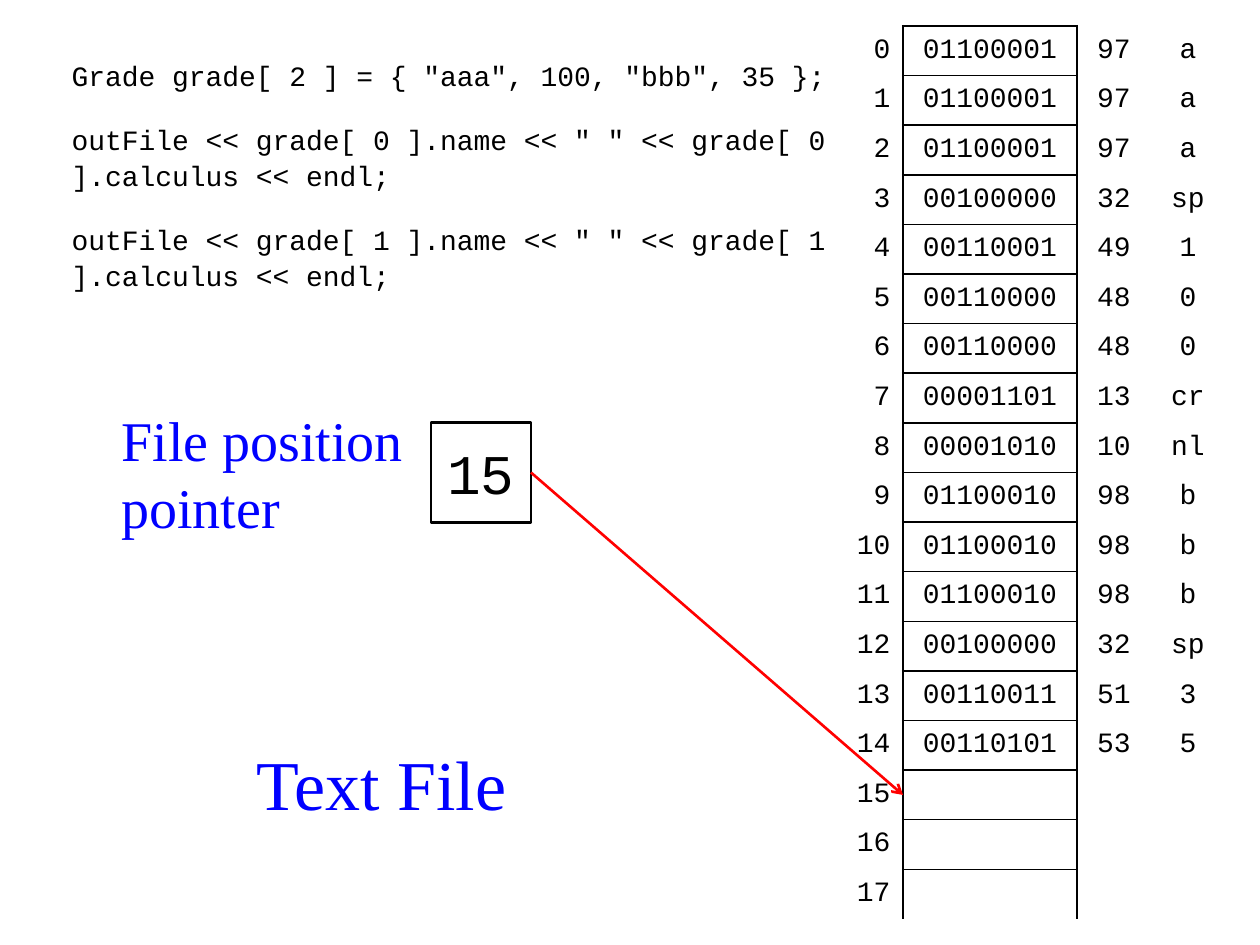
from lxml import etree
from pptx import Presentation
from pptx import util as u
from pptx.dml.color import RGBColor
from pptx.enum import shapes, text
from pptx.oxml.ns import qn

PX = 914400 / 126
COLORS = {"ink": "000000", "accent": "0000FF", "pointer": "FF0000"}
MONO, SERIF = "Courier New", "Times New Roman"
LEFT, CENTER, RIGHT = text.PP_ALIGN.LEFT, text.PP_ALIGN.CENTER, text.PP_ALIGN.RIGHT

ROW_COUNT = 18
COLUMN_WIDTHS = [74, 174, 74, 74]
COLUMN_ALIGNS = [RIGHT, CENTER, CENTER, CENTER]
FILE_BYTES = [97, 97, 97, 32, 49, 48, 48, 13, 10, 98, 98, 98, 32, 51, 53]
CONTROL_NAMES = {32: "sp", 13: "cr", 10: "nl"}
POSITION = len(FILE_BYTES)
CODE = [
    'Grade grade[ 2 ] = { "aaa", 100, "bbb", 35 };',
    'outFile << grade[ 0 ].name << " " << grade[ 0 ].calculus << endl;',
    'outFile << grade[ 1 ].name << " " << grade[ 1 ].calculus << endl;',
]


def px(length):
    return u.Emu(round(length * PX))


def color(name):
    return RGBColor.from_string(COLORS[name])


def write(frame, lines, *, size, font=MONO, fill="ink", align=LEFT,
          before=0, spacing=1.0):
    for index, line in enumerate(lines):
        paragraph = frame.paragraphs[0] if index == 0 else frame.add_paragraph()
        paragraph.alignment = align
        paragraph.space_before = u.Pt(before)
        paragraph.line_spacing = spacing
        run = paragraph.add_run()
        run.text = line
        run.font.name = font
        run.font.size = u.Pt(size)
        run.font.color.rgb = color(fill)


def place(shape, box):
    shape.left, shape.top, shape.width, shape.height = map(px, box)


def set_borders(cell, widths):
    """Draw the left, right, top and bottom borders; a width of 0 hides one."""
    properties = cell._tc.get_or_add_tcPr()
    for index, (side, width) in enumerate(zip("LRTB", widths)):
        line = etree.Element(qn(f"a:ln{side}"), w=str(u.Pt(width)))
        if width:
            fill = etree.SubElement(line, qn("a:solidFill"))
            etree.SubElement(fill, qn("a:srgbClr"), val=COLORS["ink"])
        else:
            etree.SubElement(line, qn("a:noFill"))
        properties.insert(index, line)


def cell_borders(row, column):
    if column == 1:
        top = 1 if row else 1.5
        bottom = 1 if row < ROW_COUNT - 1 else 0
        return 1.5, 1.5, top, bottom
    return (1.5 if column == 2 else 0), (1.5 if column == 0 else 0), 0, 0


def row_texts(address):
    if address >= len(FILE_BYTES):
        return [str(address), "", "", ""]
    code = FILE_BYTES[address]
    return [str(address), f"{code:08b}", str(code), CONTROL_NAMES.get(code, chr(code))]


def add_memory_table(slide, box):
    table = slide.shapes.add_table(ROW_COUNT, len(COLUMN_WIDTHS), *map(px, box)).table
    table.first_row = table.horz_banding = False
    for column, width in zip(table.columns, COLUMN_WIDTHS):
        column.width = px(width)
    for address, row in enumerate(table.rows):
        row.height = px(box[3] / ROW_COUNT)
        for index, content in enumerate(row_texts(address)):
            cell = row.cells[index]
            cell.fill.background()
            cell.vertical_anchor = text.MSO_ANCHOR.MIDDLE
            set_borders(cell, cell_borders(address, index))
            if index == 1:
                cell.margin_left = cell.margin_right = px(10)
            if content:
                write(cell.text_frame, [content], size=16, align=COLUMN_ALIGNS[index])
            else:
                cell.margin_top = cell.margin_bottom = 0


def fill_title(slide, box):
    title = slide.shapes.title
    place(title, box)
    title.text_frame.auto_size = text.MSO_AUTO_SIZE.NONE
    title.text_frame.vertical_anchor = text.MSO_ANCHOR.MIDDLE
    write(title.text_frame, ["Text File"], size=40, font=SERIF, fill="accent", align=CENTER)


def fill_code(slide, box):
    body = slide.placeholders[1]
    place(body, box)
    body.text_frame.auto_size = text.MSO_AUTO_SIZE.NONE
    write(body.text_frame, CODE, size=16, before=16, spacing=1.07)
    for paragraph in body.text_frame.paragraphs:
        properties = paragraph._p.get_or_add_pPr()
        properties.set("marL", "0")
        properties.set("indent", "0")
        etree.SubElement(properties, qn("a:buNone"))


def add_pointer(slide, box, target):
    """Add the label and the position box, with an arrow to the target point."""
    left, top, width, height = box
    side = 100
    label = slide.shapes.add_textbox(*map(px, (left, top, width - side, height)))
    label.text_frame.word_wrap = True
    label.text_frame.vertical_anchor = text.MSO_ANCHOR.MIDDLE
    write(label.text_frame, ["File position", "pointer"], size=32, font=SERIF, fill="accent")

    square = slide.shapes.add_shape(
        shapes.MSO_SHAPE.RECTANGLE,
        *map(px, (left + width - side, top + (height - side) / 2, side, side)))
    square.shadow.inherit = False
    square.fill.background()
    square.line.color.rgb = color("ink")
    square.line.width = u.Pt(1.5)
    square.text_frame.word_wrap = False
    square.text_frame.vertical_anchor = text.MSO_ANCHOR.MIDDLE
    write(square.text_frame, [str(POSITION)], size=32, align=CENTER)

    arrow = slide.shapes.add_connector(shapes.MSO_CONNECTOR.STRAIGHT, 0, 0, *map(px, target))
    arrow.begin_connect(square, 3)
    arrow.line.color.rgb = color("pointer")
    arrow.line.width = u.Pt(1.5)
    etree.SubElement(arrow.line._get_or_add_ln(), qn("a:tailEnd"), type="arrow")
    etree.SubElement(arrow._element.spPr, qn("a:effectLst"))


def main():
    presentation = Presentation()
    presentation.slide_width, presentation.slide_height = px(1260), px(945)
    slide = presentation.slides.add_slide(presentation.slide_layouts[1])

    left, top, width, height = table_box = (829, 26, sum(COLUMN_WIDTHS), 893)
    target = (left + COLUMN_WIDTHS[0], top + (POSITION + 0.5) * height / ROW_COUNT)
    add_memory_table(slide, table_box)
    fill_title(slide, (233, 721, 297, 123))
    fill_code(slide, (59, 50, 794, 248))
    add_pointer(slide, (109, 398, 422, 149), target)
    presentation.save("out.pptx")


if __name__ == "__main__":
    main()
